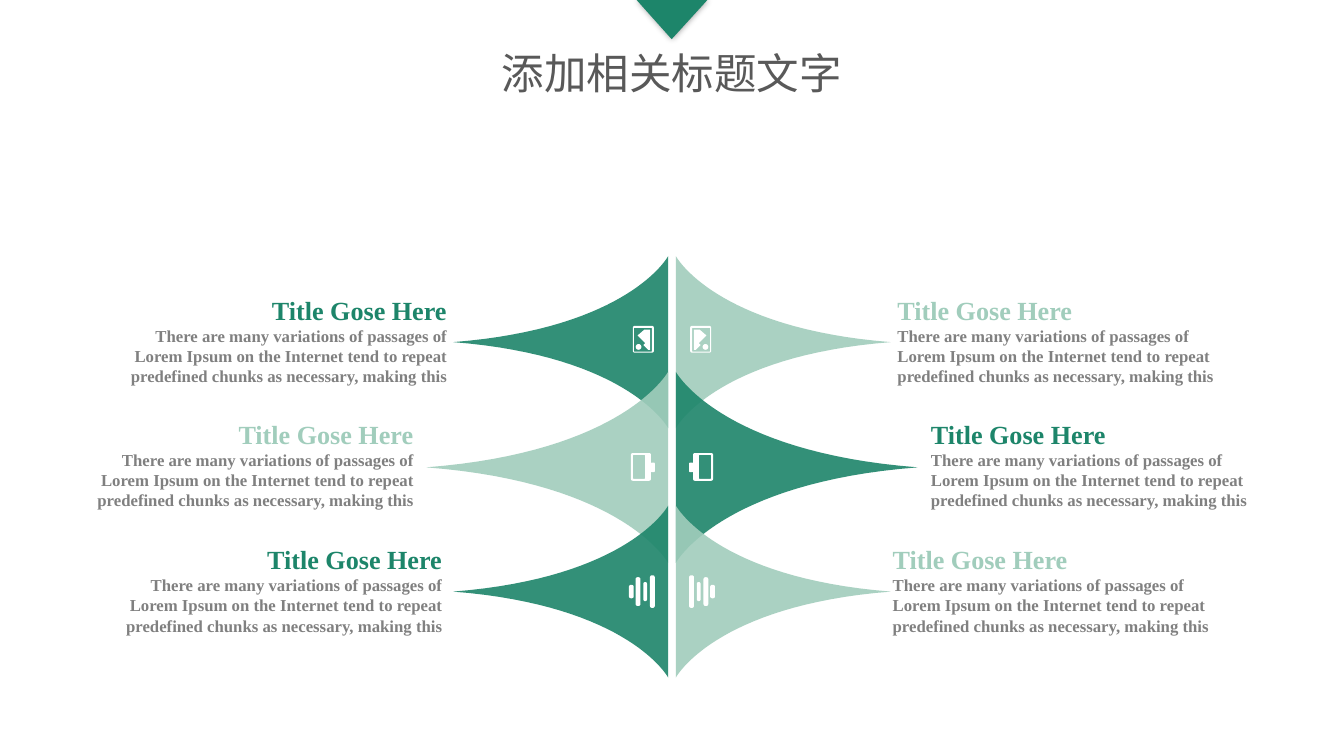
import math

from lxml import etree
from pptx import Presentation
from pptx.dml.color import RGBColor
from pptx.enum import shapes, text
from pptx.oxml import ns
from pptx.util import Inches, Pt

GREEN = RGBColor(0x1D, 0x85, 0x6A)
MINT = RGBColor(0xA1, 0xCD, 0xBC)
WHITE = RGBColor(0xFF, 0xFF, 0xFF)
GRAY = RGBColor(0x80, 0x80, 0x80)
DARK = RGBColor(0x59, 0x59, 0x59)

TITLE = "添加相关标题文字"
HEADING = "Title Gose Here"
BODY = ("There are many variations of passages of Lorem Ipsum on the Internet "
        "tend to repeat predefined chunks as necessary, making this")

PICTURE_PARTS = [
    (0.19, 0.41, -0.17, 0.11, 0.02),
    (0.21, 0.4, -0.15, 0.1, 0.01),
    (0.32, 0.38, 0.02, 0.08, 0.03),
]
PICTURE_OUTLINE = [(0.23, -0.13), (0.23, 0.08), (0.25, 0.08), (0.3, 0.03),
                   (0.28, 0.01), (0.36, -0.07), (0.29, -0.13)]
BATTERY_PARTS = [
    (0.22, 0.43, -0.15, 0.14, 0.02),
    (0.28, 0.41, -0.13, 0.12, 0.01),
    (0.18, 0.22, -0.05, 0.05, 0.01),
]
SOUND_PARTS = [
    (0.18, 0.23, -0.17, 0.17, 0.02),
    (0.26, 0.3, -0.1, 0.1, 0.02),
    (0.33, 0.38, -0.15, 0.15, 0.02),
    (0.4, 0.45, -0.07, 0.07, 0.02),
]
ROWS = [
    dict(center=3.58, length=2.25, half=0.9, text_top=3.03, text_lefts=(0.99, 9.29),
         colors=(GREEN, MINT), parts=PICTURE_PARTS, outlines=[PICTURE_OUTLINE]),
    dict(center=4.89, length=2.53, half=1.0, text_top=4.33, text_lefts=(0.64, 9.64),
         colors=(MINT, GREEN), parts=BATTERY_PARTS, outlines=[]),
    dict(center=6.19, length=2.25, half=0.9, text_top=5.64, text_lefts=(0.94, 9.24),
         colors=(GREEN, MINT), parts=SOUND_PARTS, outlines=[]),
]
SIDES = [(-1, text.PP_ALIGN.RIGHT), (1, text.PP_ALIGN.LEFT)]
WIDTH, HEIGHT = 14.06, 7.91
AXIS = WIDTH / 2
GAP = 0.04
TEXT_WIDTH, TEXT_HEIGHT = 3.78, 1.07
CURVE_STEPS = 32
CORNER_STEPS = 4


def paint(shape, color):
    shape.shadow.inherit = False
    shape.fill.solid()
    shape.fill.fore_color.rgb = color
    shape.line.fill.background()


def set_alpha(parent, percent):
    color = parent.find(".//" + ns.qn("a:srgbClr"))
    etree.SubElement(color, ns.qn("a:alpha"), val=str(percent * 1000))


def add_freeform(group, side, center, outlines, color):
    loops = [[(Inches(AXIS + side * x), Inches(center + y)) for x, y in outline]
             for outline in outlines]
    builder = group.shapes.build_freeform(*loops[0][0])
    builder.add_line_segments(loops[0][1:], close=True)
    for loop in loops[1:]:
        builder.move_to(*loop[0])
        builder.add_line_segments(loop[1:], close=True)
    shape = builder.convert_to_shape()
    paint(shape, color)
    return shape


def petal_points(length, half):
    upper = []
    for step in range(CURVE_STEPS + 1):
        t = step / CURVE_STEPS
        x = 3 * (1 - t) * t ** 2 * 0.18 * length + t ** 3 * length
        y = half * ((1 - t) ** 3 + 3 * (1 - t) ** 2 * t
                    + 3 * (1 - t) * t ** 2 * 0.16)
        upper.append((GAP + x, -y))
    return upper + [(x, -y) for x, y in reversed(upper[:-1])]


def rounded_points(near, far, top, bottom, radius):
    corners = [(far - radius, bottom - radius), (near + radius, bottom - radius),
               (near + radius, top + radius), (far - radius, top + radius)]
    points = []
    for index, (x, y) in enumerate(corners):
        for step in range(CORNER_STEPS + 1):
            angle = math.pi / 2 * (index + step / CORNER_STEPS)
            points.append((x + radius * math.cos(angle), y + radius * math.sin(angle)))
    return points


def add_petal(page, side, row, color):
    group = page.shapes.add_group_shape()
    petal = add_freeform(group, side, row["center"],
                         [petal_points(row["length"], row["half"])], color)
    set_alpha(petal._element.spPr, 90)
    icon = [rounded_points(*part) for part in row["parts"]] + row["outlines"]
    add_freeform(group, side, row["center"], icon, WHITE)


def style(para, name, size, color, align, bold=False):
    para.alignment = align
    para.font.name = name
    para.font.size = Pt(size)
    para.font.bold = bold
    para.font.color.rgb = color


def add_caption(page, left, top, align, color):
    box = page.shapes.add_textbox(Inches(left), Inches(top),
                                  Inches(TEXT_WIDTH), Inches(TEXT_HEIGHT))
    frame = box.text_frame
    frame.word_wrap = True
    frame.text = HEADING
    style(frame.paragraphs[0], "Times New Roman", 19.7, color, align, True)
    para = frame.add_paragraph()
    para.text = BODY
    style(para, "Times New Roman", 12.6, GRAY, align, True)


def add_title(page):
    title = page.shapes.title
    title.left, title.top = Inches(5), Inches(0.45)
    title.width, title.height = Inches(4.06), Inches(0.61)
    frame = title.text_frame
    frame.auto_size = text.MSO_AUTO_SIZE.NONE
    frame.vertical_anchor = text.MSO_ANCHOR.TOP
    frame.margin_left = frame.margin_right = Inches(0.07)
    frame.margin_top = frame.margin_bottom = Inches(0.04)
    frame.text = TITLE
    para = frame.paragraphs[0]
    style(para, "Noto Sans CJK SC", 32, DARK, text.PP_ALIGN.CENTER)
    latin = para._p.find(".//" + ns.qn("a:latin"))
    latin.addnext(latin.makeelement(ns.qn("a:ea"), typeface="Noto Sans CJK SC"))


def add_pointer(page):
    pointer = page.shapes.add_shape(shapes.MSO_SHAPE.ISOSCELES_TRIANGLE, Inches(6.66),
                                    0, Inches(0.74), Inches(0.41))
    pointer.rotation = 180
    pointer.adjustments[0] = 0.505
    paint(pointer, GREEN)
    effects = pointer._element.spPr.find(ns.qn("a:effectLst"))
    shadow = etree.SubElement(effects, ns.qn("a:outerShdw"), blurRad=str(Pt(5)),
                              dist="0", dir="0")
    etree.SubElement(shadow, ns.qn("a:srgbClr"), val="000000")
    set_alpha(shadow, 40)


def main():
    deck = Presentation()
    deck.slide_width, deck.slide_height = Inches(WIDTH), Inches(HEIGHT)
    page = deck.slides.add_slide(deck.slide_layouts[5])
    for column, (side, align) in enumerate(SIDES):
        for row in ROWS:
            color = row["colors"][column]
            add_petal(page, side, row, color)
            add_caption(page, row["text_lefts"][column], row["text_top"], align, color)
    add_title(page)
    add_pointer(page)
    deck.save("out.pptx")


if __name__ == "__main__":
    main()
